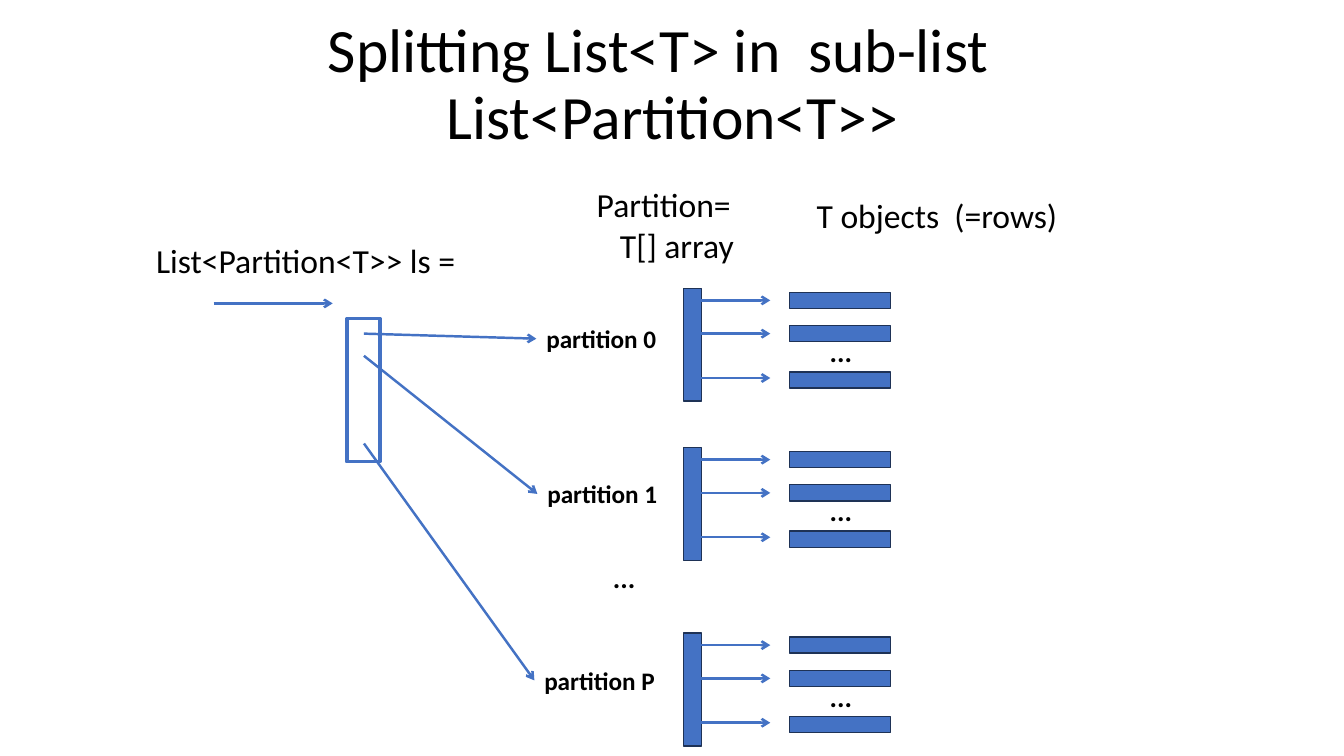
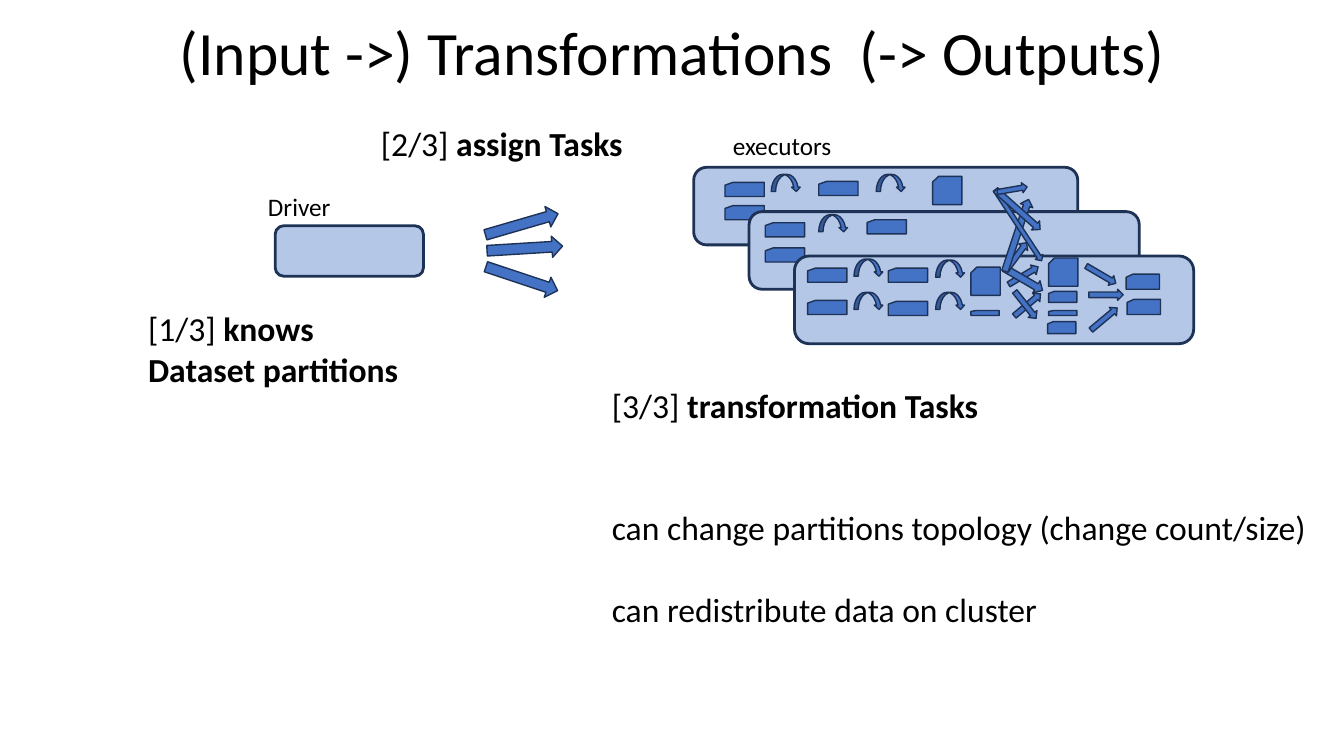
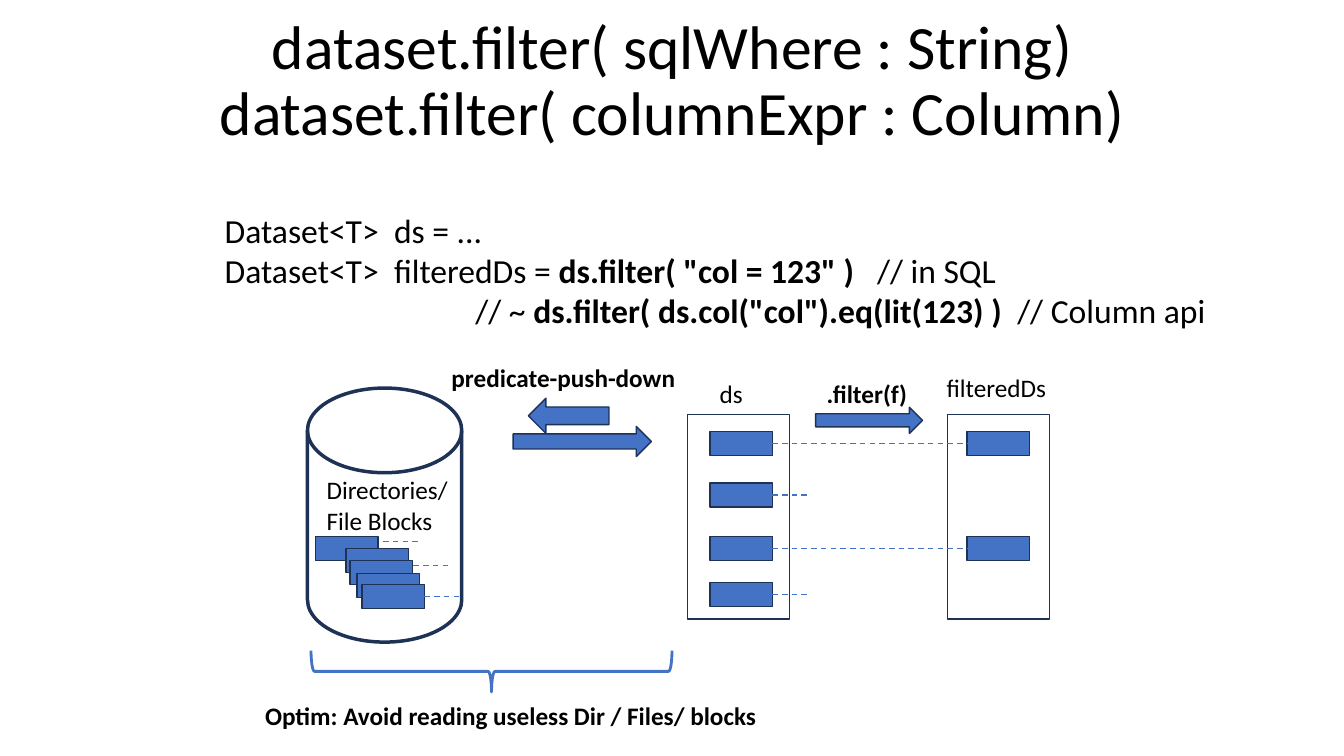
import pptx
import pptx.dml.color
import pptx.enum.dml
import pptx.enum.shapes
import pptx.enum.text
import pptx.oxml.ns
import pptx.util
from lxml import etree

SHAPE = pptx.enum.shapes.MSO_SHAPE
LEFT_SIDE, RIGHT_SIDE = 1, 3


def color(code):
    return pptx.dml.color.RGBColor.from_string(code)


class Sketch:
    """Holds the shared style and the slide being drawn; 100 px make an inch."""
    SCALE = 9144
    FONT = "Calibri"
    INK, BLUE, PALE, EDGE = "000000", "4472C4", "B4C7E7", "1E3256"

    def __init__(self):
        self.deck = pptx.Presentation()
        self.deck.slide_width = self.px(1333)
        self.deck.slide_height = self.px(750)
        self.page = None

    def px(self, length):
        return pptx.util.Emu(length * self.SCALE)

    def style(self, para, size, bold=False):
        para.font.name = self.FONT
        para.font.size = pptx.util.Pt(size)
        para.font.color.rgb = color(self.INK)
        if bold:
            para.font.bold = True

    def new_page(self, title, height):
        self.page = self.deck.slides.add_slide(self.deck.slide_layouts[5])
        box = self.page.shapes.title
        box.left, box.top = self.px(92), self.px(10)
        box.width, box.height = self.px(1150), self.px(height)
        frame = box.text_frame
        frame.auto_size = pptx.enum.text.MSO_AUTO_SIZE.NONE
        frame.vertical_anchor = pptx.enum.text.MSO_ANCHOR.MIDDLE
        para = frame.paragraphs[0]
        para.text = title
        para.alignment = pptx.enum.text.PP_ALIGN.CENTER
        para.line_spacing = 0.9
        self.style(para, 44)

    def text(self, at, *paragraphs, size=24, bold=False, wrap=False, gaps=(), indents=()):
        """A paragraph is a string, or a tuple of plain and bold parts in turn."""
        box = self.page.shapes.add_textbox(*map(self.px, at))
        frame = box.text_frame
        frame.word_wrap = wrap
        frame.auto_size = pptx.enum.text.MSO_AUTO_SIZE.SHAPE_TO_FIT_TEXT
        for index, parts in enumerate(paragraphs):
            para = frame.add_paragraph() if index else frame.paragraphs[0]
            self.style(para, size, bold)
            if index < len(gaps) and gaps[index]:
                para.space_before = pptx.util.Pt(gaps[index])
            if index < len(indents) and indents[index]:
                para._p.get_or_add_pPr().set("marL", str(self.px(indents[index])))
            for place, part in enumerate((parts,) if isinstance(parts, str) else parts):
                if part:
                    span = para.add_run()
                    span.text = part
                    if place % 2:
                        span.font.bold = True
        return box

    def shape(self, kind, at, fill=BLUE, edge=EDGE, weight=1, turn=0):
        item = self.page.shapes.add_shape(kind, *map(self.px, at))
        item.shadow.inherit = False
        item.rotation = turn
        if fill:
            item.fill.solid()
            item.fill.fore_color.rgb = color(fill)
        else:
            item.fill.background()
        item.line.color.rgb = color(edge)
        item.line.width = pptx.util.Pt(weight)
        return item

    def card(self, *at):
        return self.shape(SHAPE.FLOWCHART_CARD, at)

    def hoop(self, left, top):
        return self.shape(SHAPE.CURVED_DOWN_ARROW, (left, top, 29, 17))

    def panel(self, *at):
        return self.shape(SHAPE.ROUNDED_RECTANGLE, at, fill=self.PALE, weight=2)

    def block_arrow(self, *at, turn=0):
        return self.shape(SHAPE.RIGHT_ARROW, at, turn=turn)

    def line(self, start, end, weight=1.75, dashed=False, arrow=True):
        """Each end is a point, or a shape: leave its right side, reach its left."""
        points = [end_ if isinstance(end_, tuple) else (0, 0) for end_ in (start, end)]
        item = self.page.shapes.add_connector(
            pptx.enum.shapes.MSO_CONNECTOR.STRAIGHT,
            *(self.px(value) for point in points for value in point))
        if not isinstance(start, tuple):
            item.begin_connect(start, RIGHT_SIDE)
        if not isinstance(end, tuple):
            item.end_connect(end, LEFT_SIDE)
        item.line.color.rgb = color(self.BLUE)
        item.line.width = pptx.util.Pt(weight)
        if dashed:
            item.line.dash_style = pptx.enum.dml.MSO_LINE.DASH
        properties = item._element.spPr
        if arrow:
            outline = properties.find(pptx.oxml.ns.qn("a:ln"))
            etree.SubElement(outline, pptx.oxml.ns.qn("a:tailEnd"), type="arrow")
        etree.SubElement(properties, pptx.oxml.ns.qn("a:effectLst"))
        return item

    def dash(self, start, end):
        return self.line(start, end, weight=1, dashed=True, arrow=False)


def partition_page(sketch):
    sketch.new_page("Splitting List<T> in  sub-list   List<Partition<T>>", 151)

    # Column headings
    sketch.text((145, 233, 320, 50), "List<Partition<T>> ls =")
    sketch.text((582, 178, 157, 91), "Partition=", "T[] array", indents=(0, 23))
    sketch.text((800, 188, 261, 50), "T objects  (=rows)")

    # The list
    sketch.line((212, 301), (330, 301))
    sketch.shape(SHAPE.RECTANGLE, (344, 316, 33, 142), fill=None, edge=sketch.BLUE, weight=2.5)

    # Partitions: name, label position, slot in the list, top of the array
    for name, left, top, slot, array_top in (
            ("partition 0", 532, 316, 331, 286),
            ("partition 1", 533, 470, 353, 444),
            ("partition P", 530, 655, 440, 628)):
        label = sketch.text((left, top, 130, 40), name, size=18, bold=True)
        sketch.line((361, slot), label)
        sketch.shape(SHAPE.RECTANGLE, (678, array_top, 18, 112))
        for arrow, row in ((12, 4), (45, 37), (89, 83)):
            sketch.line((691, array_top + arrow), (764, array_top + arrow))
            sketch.shape(SHAPE.RECTANGLE, (783, array_top + row, 100, 16))
        sketch.text((813, array_top + 41, 47, 44), "...", size=20, bold=True, wrap=True)
    sketch.text((598, 551, 43, 44), "...", size=20, bold=True)


def transformation_page(sketch):
    sketch.new_page("(Input ->) Transformations  (-> Outputs)", 90)

    # Driver and the tasks it hands out
    sketch.panel(273, 224, 147, 50)
    sketch.text((256, 185, 83, 40), "Driver", size=18)
    sketch.text((137, 301, 272, 91), ("[1/3] ", "knows"), ("", "Dataset partitions"))
    sketch.text((368, 117, 262, 50), ("[2/3] ", "assign Tasks"))
    for left, top, turn in ((480, 212, 343.8), (483, 236, 356.5), (480, 266, 18.4)):
        sketch.block_arrow(left, top, 75, 21, turn=turn)

    # Executors, back to front: panel, small cards, hoops, other cards
    sketch.text((717, 124, 119, 40), "executors", size=18)
    executors = (
        ((688, 166, 381, 77),
         ((719, 181), (719, 204), (812, 180)),
         ((765, 173), (869, 173)),
         ((925, 175, 29, 28),)),
        ((743, 210, 387, 77),
         ((759, 221), (759, 246), (860, 218)),
         ((812, 213),),
         ()),
        ((788, 254, 396, 87),
         ((801, 266), (801, 298), (881, 266), (881, 299)),
         ((847, 257), (847, 290), (928, 258), (928, 290)),
         ((963, 265, 29, 28), (963, 308, 28, 5),
          (1040, 256, 29, 28), (1040, 308, 28, 5), (1040, 289, 28, 11), (1039, 319, 28, 12),
          (1117, 272, 33, 15), (1118, 297, 33, 15))))
    for panel, small_cards, hoops, other_cards in executors:
        sketch.panel(*panel)
        for left, top in small_cards:
            sketch.card(left, top, 39, 14)
        for hoop in hoops:
            sketch.hoop(*hoop)
        for card in other_cards:
            sketch.card(*card)

    # Arrows that move data between cards and executors
    for left, top, width, height, turn in (
            (998, 268, 34, 11, 329.4), (1002, 297, 34, 11, 319.8),
            (1000, 297, 34, 11, 51.7), (993, 270, 44, 14, 30.3),
            (1075, 267, 34, 11, 30.3), (1078, 311, 34, 11, 320),
            (1080, 287, 34, 11, 0), (991, 249, 34, 11, 306.6),
            (971, 227, 75, 13, 288.3), (968, 219, 84, 9, 56.7),
            (980, 202, 59, 12, 41.6), (989, 183, 30, 10, 350.2)):
        sketch.block_arrow(left, top, width, height, turn=turn)

    sketch.text((597, 377, 731, 252), ("[3/3] ", "transformation Tasks"),
                "can change partitions topology (change count/size)",
                "can redistribute data on cluster", gaps=(0, 58.6, 29.3))


def filter_page(sketch):
    sketch.new_page("dataset.filter( sqlWhere : String)\vdataset.filter( columnExpr : Column)", 144)

    # Code
    sketch.text((213, 203, 999, 131), "Dataset<T>  ds = ...",
                ("Dataset<T>  filteredDs = ", 'ds.filter( "col = 123" )', "   // in SQL"),
                ("                                 // ~ ",
                 'ds.filter( ds.col("col").eq(lit(123) )', "  // Column api"))

    # Datasets: rows that pass the filter reach the second one
    for left in (682, 940):
        sketch.shape(SHAPE.RECTANGLE, (left, 411, 101, 203), fill=None)
    for top, passes in ((428, True), (479, False), (532, True), (578, False)):
        row = sketch.shape(SHAPE.RECTANGLE, (704, top, 62, 24))
        if passes:
            target = sketch.shape(SHAPE.RECTANGLE, (959, top, 62, 24))
        else:
            target = (803, top + 12)
        sketch.dash(row, target)
    sketch.text((704, 370, 43, 40), "ds", size=18)
    sketch.text((929, 364, 120, 40), "filteredDs", size=18)
    sketch.text((810, 370, 101, 40), ".filter(f)", size=18, bold=True)
    sketch.block_arrow(809, 404, 106, 26)

    # Predicate push-down
    sketch.text((438, 355, 250, 40), "predicate-push-down", size=18, bold=True)
    sketch.shape(SHAPE.LEFT_ARROW, (524, 395, 80, 35))
    sketch.block_arrow(509, 423, 137, 30)

    # Storage with its file blocks
    sketch.shape(SHAPE.FLOWCHART_MAGNETIC_DISK, (305, 385, 153, 252), fill=None, weight=2.5)
    sketch.text((314, 466, 142, 71), "Directories/", "File Blocks", size=18)
    for left, top in ((313, 532), (343, 544), (347, 556), (354, 569), (359, 580)):
        block = sketch.shape(SHAPE.RECTANGLE, (left, top, 62, 24))
    for left, top in ((380, 537), (410, 561)):
        sketch.dash((left, top), (left + 36, top))
    sketch.dash(block, (457, 592))

    # Remark under the brace
    sketch.shape(SHAPE.LEFT_BRACE, (467, 487, 41, 358), fill=None, edge=sketch.BLUE,
                 weight=2, turn=270)
    sketch.text((253, 690, 511, 40), "Optim: Avoid reading useless Dir / Files/ blocks",
                size=18, bold=True)


def main():
    sketch = Sketch()
    partition_page(sketch)
    transformation_page(sketch)
    filter_page(sketch)
    sketch.deck.save("out.pptx")


if __name__ == "__main__":
    main()
